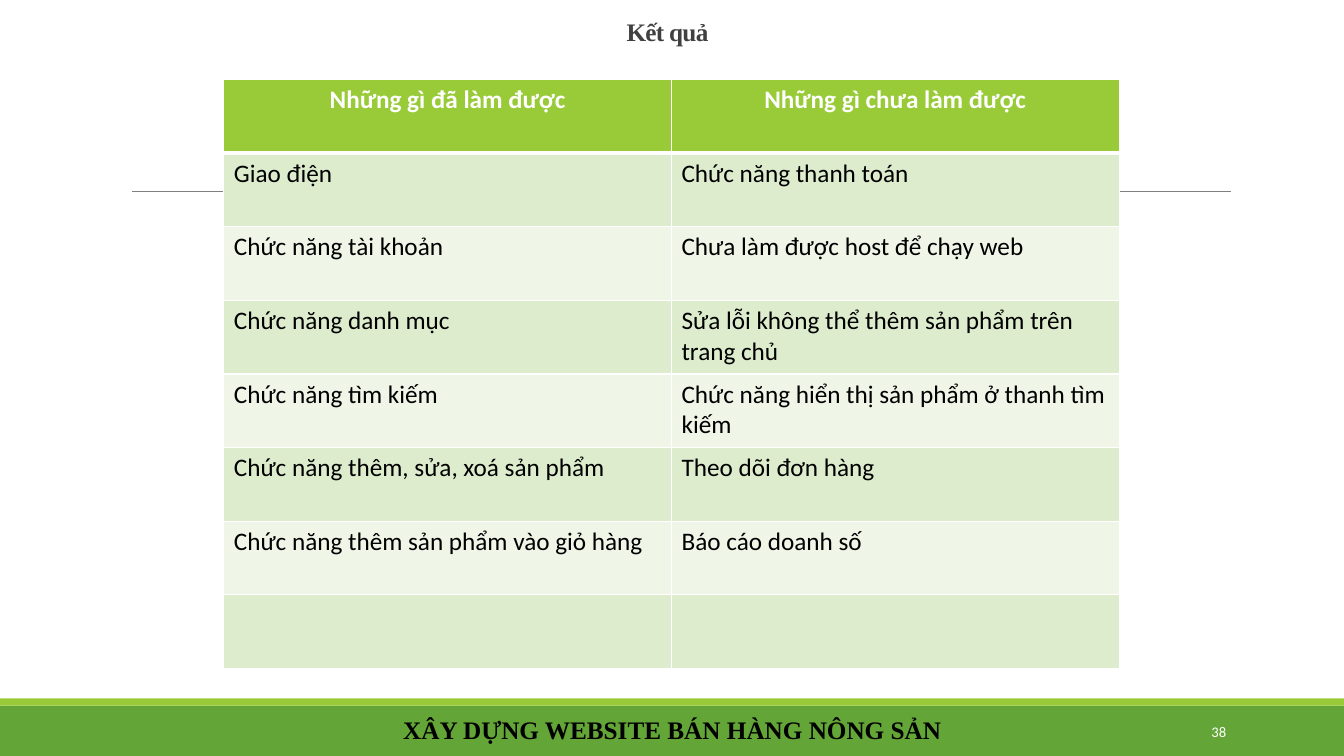
from lxml.etree import SubElement
from pptx import Presentation
from pptx.dml.color import RGBColor
from pptx.enum.shapes import MSO_CONNECTOR, MSO_SHAPE
from pptx.enum.text import MSO_ANCHOR as Anchor, PP_ALIGN as Align
from pptx.oxml.ns import qn
from pptx.util import Inches, Pt

ROW_HEIGHT = 0.73
COLUMN_WIDTH = 4.44
ROWS = [
    ("Những gì đã làm được", "Những gì chưa làm được"),
    ("Giao điện", "Chức năng thanh toán"),
    ("Chức năng tài khoản", "Chưa làm được host để chạy web"),
    ("Chức năng danh mục", "Sửa lỗi không thể thêm sản phẩm trên trang chủ"),
    ("Chức năng tìm kiếm", "Chức năng hiển thị sản phẩm ở thanh tìm kiếm"),
    ("Chức năng thêm, sửa, xoá sản phẩm", "Theo dõi đơn hàng"),
    ("Chức năng thêm sản phẩm vào giỏ hàng", "Báo cáo doanh số"),
    ("", ""),
]


def color(value):
    return RGBColor.from_string(value)


def style(paragraph, size, name, value, bold=False, align=Align.LEFT):
    paragraph.alignment = align
    font = paragraph.font
    font.size, font.name, font.bold = Pt(size), name, bold
    font.color.rgb = color(value)


presentation = Presentation()
presentation.slide_width = Inches(13.33)
presentation.slide_height = Inches(7.5)
slide = presentation.slides.add_slide(presentation.slide_layouts[5])
shapes = slide.shapes

# Footer bands
for top, height, fill in [(7, 0.5, "63A537"), (6.93, 0.07, "99CB38")]:
    band = shapes.add_shape(MSO_SHAPE.RECTANGLE, 0, Inches(top),
                            presentation.slide_width, Inches(height))
    band.shadow.inherit = False
    band.fill.solid()
    band.fill.fore_color.rgb = color(fill)
    band.line.fill.background()

# Rule behind the table
rule = shapes.add_connector(MSO_CONNECTOR.STRAIGHT, Inches(1.31), Inches(1.9),
                            Inches(12.21), Inches(1.9))
rule.line.color.rgb = color("808080")
rule.line.width = Pt(0.5)
SubElement(rule._element.spPr, qn("a:effectLst"))

# Slide number
number = shapes.add_textbox(Inches(10.83), Inches(7.06), Inches(1.43), Inches(0.4))
number.text_frame.word_wrap = True
number.text_frame.vertical_anchor = Anchor.MIDDLE
number.text_frame.text = "38"
style(number.text_frame.paragraphs[0], 10.5, "Calibri", "FFFFFF", align=Align.RIGHT)

# Footer text
footer = shapes.add_textbox(Inches(3.9), Inches(7.04), Inches(5.59), Inches(0.71))
footer.text_frame.word_wrap = False
footer.text_frame.text = "XÂY DỰNG WEBSITE BÁN HÀNG NÔNG SẢN"
style(footer.text_frame.paragraphs[0], 18, "Times New Roman", "000000", bold=True)

# Title
title = shapes.title
title.left, title.top = Inches(5.62), Inches(0.14)
title.width, title.height = Inches(2), Inches(0.37)
title.text_frame.text = "Kết quả"
title.text_frame.vertical_anchor = Anchor.BOTTOM
heading = title.text_frame.paragraphs[0]
heading.line_spacing = 0.85
style(heading, 18, "Times New Roman", "404040", bold=True, align=Align.CENTER)
heading.runs[0].font._element.set("spc", "-50")

# Results table
table = shapes.add_table(len(ROWS), 2, Inches(2.22), Inches(0.79),
                         Inches(2 * COLUMN_WIDTH), Inches(len(ROWS) * ROW_HEIGHT)).table
for column in table.columns:
    column.width = Inches(COLUMN_WIDTH)
for row_index, texts in enumerate(ROWS):
    table.rows[row_index].height = Inches(ROW_HEIGHT)
    header = row_index == 0
    fill = "99CB38" if header else ("EFF6E8", "DEECCE")[row_index % 2]
    for column_index, text in enumerate(texts):
        cell = table.cell(row_index, column_index)
        cell.text = text
        style(cell.text_frame.paragraphs[0], 18, "Calibri",
              "FFFFFF" if header else "000000", bold=header,
              align=Align.CENTER if header else Align.LEFT)

        # White borders, thicker between header and body
        properties = cell._tc.get_or_add_tcPr()
        for side in ("lnL", "lnR", "lnT", "lnB"):
            thick = (side == "lnB" and header) or (side == "lnT" and row_index == 1)
            border = SubElement(properties, qn(f"a:{side}"), w=str(Pt(3 if thick else 1)))
            SubElement(SubElement(border, qn("a:solidFill")), qn("a:srgbClr"), val="FFFFFF")
        cell.fill.solid()
        cell.fill.fore_color.rgb = color(fill)

presentation.save("out.pptx")
